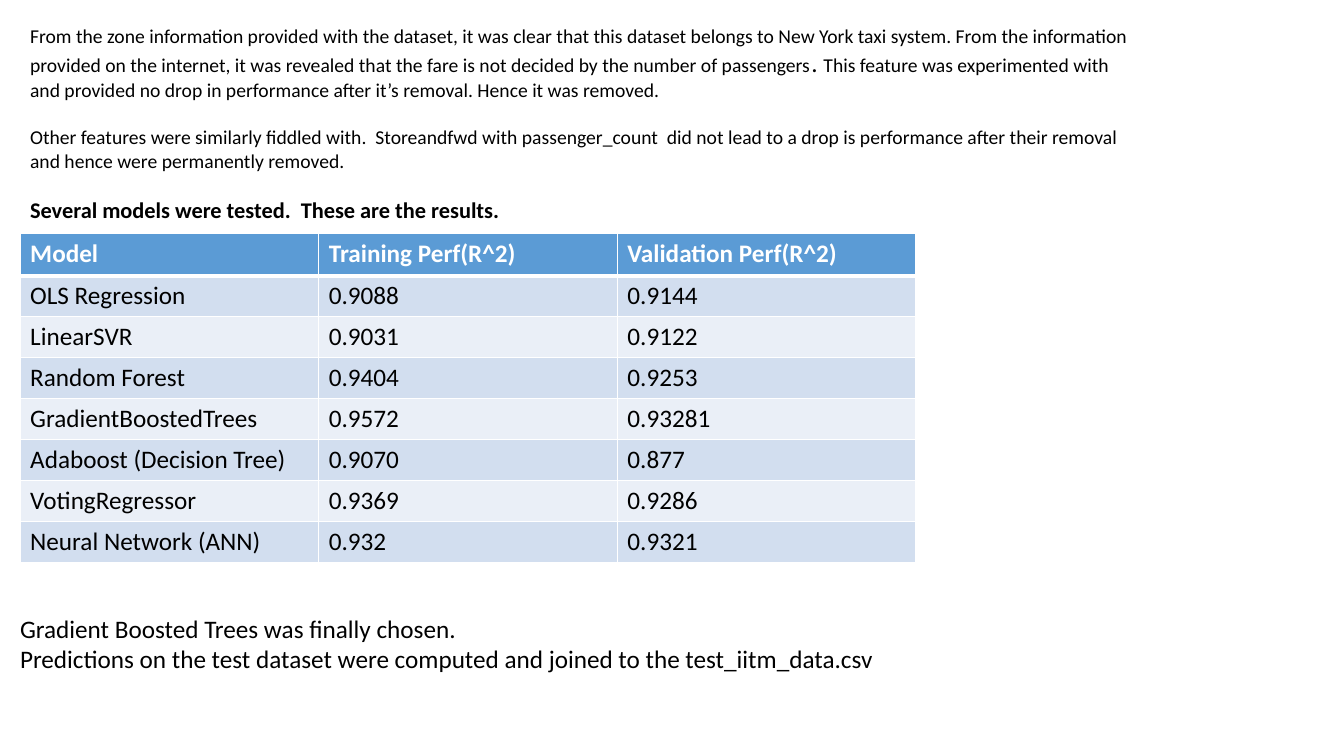
from lxml.etree import SubElement
from pptx import Presentation
from pptx.dml.color import RGBColor
from pptx.oxml.ns import qn
from pptx.util import Pt

BLACK = RGBColor(0x00, 0x00, 0x00)
WHITE = RGBColor(0xFF, 0xFF, 0xFF)
HEADER_BLUE = RGBColor(0x5B, 0x9B, 0xD5)
BAND_DARK = RGBColor(0xD2, 0xDE, 0xEF)
BAND_LIGHT = RGBColor(0xEA, 0xEF, 0xF7)


def add_run(paragraph, text, size=18, color=BLACK, bold=False):
    """Append a formatted run to a paragraph."""
    run = paragraph.add_run()
    run.text = text
    run.font.color.rgb = color
    formats = {"name": "Calibri", "size": Pt(size), "bold": bold}
    for attribute, value in formats.items():
        setattr(run.font, attribute, value)


def add_border(cell, side, width):
    """Draw a white border on one side of a table cell."""
    line = SubElement(cell._tc.get_or_add_tcPr(), qn(f"a:ln{side}"), w=str(Pt(width)))
    fill = SubElement(line, qn("a:solidFill"))
    SubElement(fill, qn("a:srgbClr"), val=str(WHITE))


presentation = Presentation()
presentation.slide_width = Pt(960)
presentation.slide_height = Pt(540)
slide = presentation.slides.add_slide(presentation.slide_layouts[6])

# Text above and below the table: box, gap between paragraphs, runs
feature_notes = [
    [("From the zone information provided with the dataset, it was clear that this "
      "dataset belongs to New York taxi system. From the information provided on the "
      "internet, it was revealed that the fare is not decided by the number of "
      "passengers", 14, False),
     (". ", 18, False),
     ("This feature was experimented with and provided no drop in performance after "
      "it’s removal. Hence it was removed.", 14, False)],
    [("Other features were similarly fiddled with.  Storeandfwd with passenger_count  "
      "did not lead to a drop is performance after their removal and hence were "
      "permanently removed.", 14, False)],
    [("Several models were tested.  These are the results.", 16, True)],
]
conclusion = [
    [("Gradient Boosted Trees was finally chosen.", 18, False)],
    [("Predictions on the test dataset were computed and joined to the "
      "test_iitm_data.csv", 18, False)],
]
text_blocks = [
    ((14.4, 13.7, 805.7, 152.6), 17, feature_notes),
    ((7.2, 434.2, 663, 51), 0, conclusion),
]
for box, gap, paragraphs in text_blocks:
    text_frame = slide.shapes.add_textbox(*map(Pt, box)).text_frame
    text_frame.word_wrap = True
    for index, runs in enumerate(paragraphs):
        paragraph = text_frame.add_paragraph() if index else text_frame.paragraphs[0]
        paragraph.space_before = Pt(gap if index else 0)
        for text, size, bold in runs:
            add_run(paragraph, text, size, bold=bold)

# Model results
results = [
    ("Model", "Training Perf(R^2)", "Validation Perf(R^2)"),
    ("OLS Regression", "0.9088", "0.9144"),
    ("LinearSVR", "0.9031", "0.9122"),
    ("Random Forest", "0.9404", "0.9253"),
    ("GradientBoostedTrees", "0.9572", "0.93281"),
    ("Adaboost (Decision Tree)", "0.9070", "0.877"),
    ("VotingRegressor", "0.9369", "0.9286"),
    ("Neural Network (ANN)", "0.932", "0.9321"),
]
table = slide.shapes.add_table(
    len(results), 3, Pt(14.4), Pt(167), Pt(640), Pt(234.6)).table
for column in table.columns:
    column.width = Pt(213.33)
for row_index, values in enumerate(results):
    is_header = row_index == 0
    table.rows[row_index].height = Pt(30 if is_header else 29.23)
    band = BAND_DARK if row_index % 2 else BAND_LIGHT
    for column_index, value in enumerate(values):
        cell = table.cell(row_index, column_index)
        for side in "LRTB":
            thick = (is_header and side == "B") or (row_index == 1 and side == "T")
            add_border(cell, side, 3 if thick else 1)
        cell.fill.solid()
        cell.fill.fore_color.rgb = HEADER_BLUE if is_header else band
        add_run(cell.text_frame.paragraphs[0], value,
                color=WHITE if is_header else BLACK, bold=is_header)

presentation.save("out.pptx")
